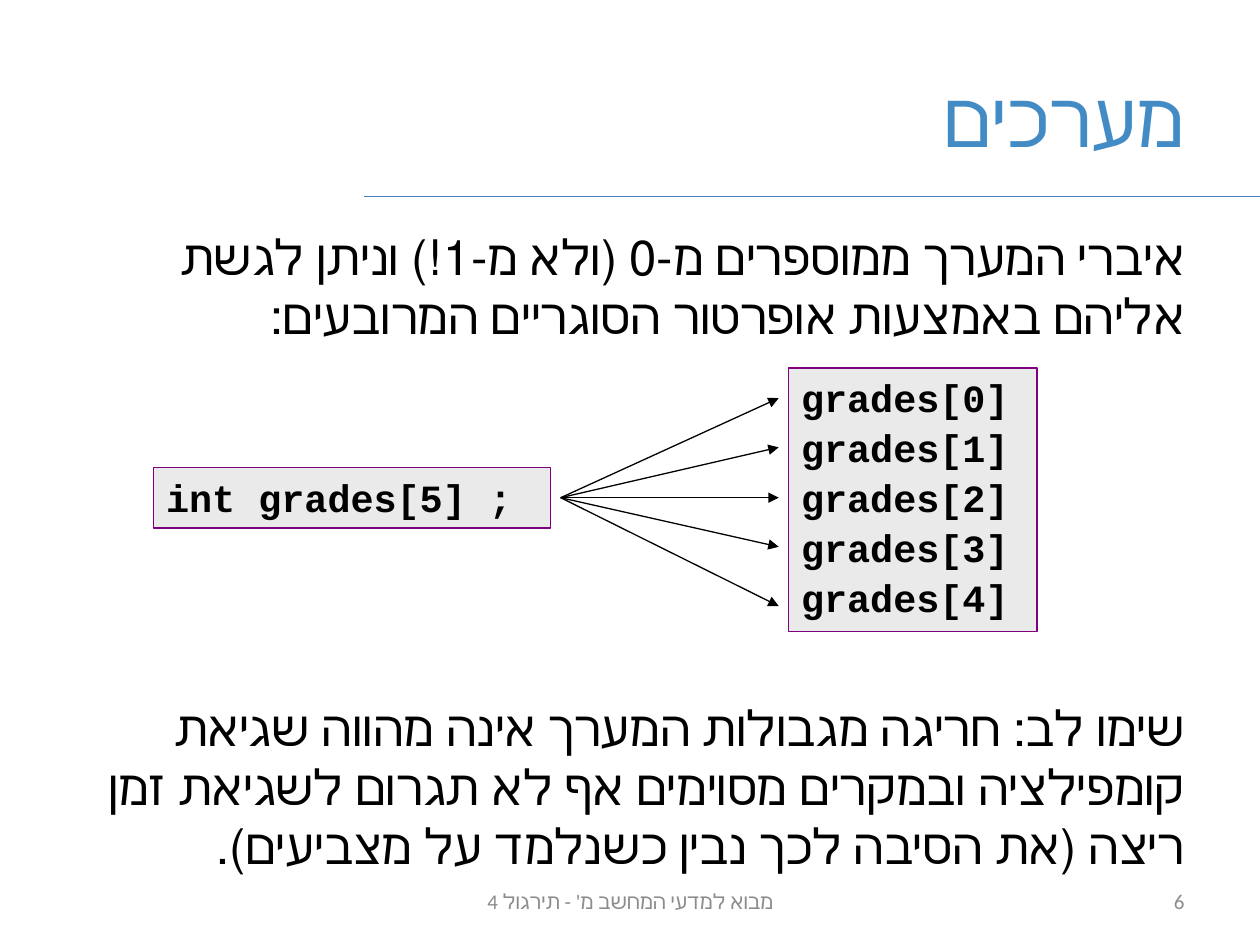
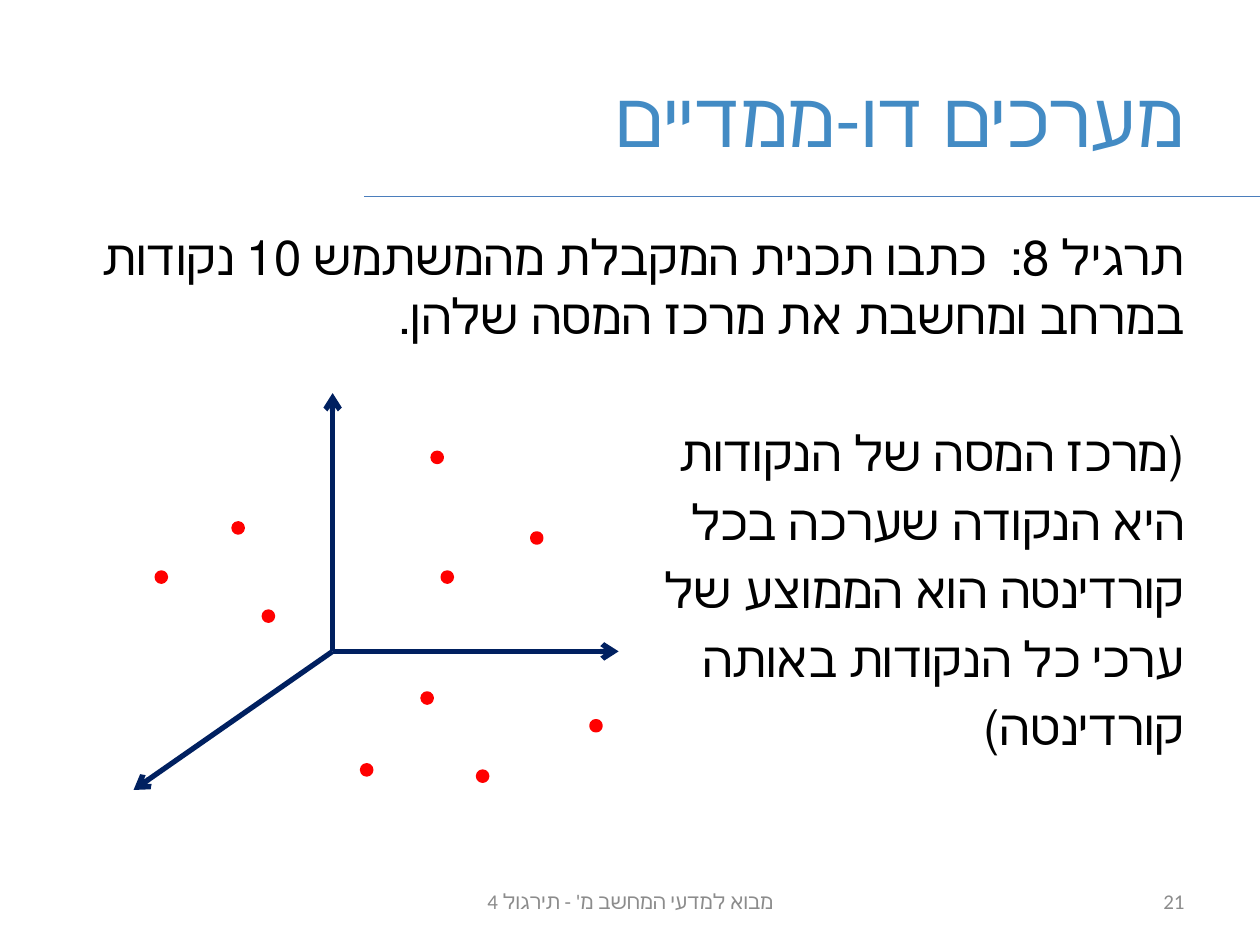
"""Builds two right-to-left slides about arrays."""
import dataclasses
import lxml.etree
import pptx
import pptx.dml.color
import pptx.enum.shapes
import pptx.enum.text
import pptx.oxml.ns
import pptx.util

Inches, Pt = pptx.util.Inches, pptx.util.Pt
Align = pptx.enum.text.PP_ALIGN
Shape = pptx.enum.shapes.MSO_SHAPE


@dataclasses.dataclass(frozen=True)
class Theme:
    head: str = "438BC4"
    rule: str = "4B7EBC"
    ink: str = "000000"
    foot: str = "8C8C8C"
    fill: str = "EAEAEA"
    edge: str = "800080"
    axis: str = "002060"
    dot: str = "FF0000"
    sans: str = "Arial"
    body: str = "Calibri"
    mono: str = "Courier New"
    big: int = 44
    text: int = 28
    code: int = 22
    small: int = 12
    gap: float = 5.6
    step: float = 2.2


THEME = Theme()
FOOT = "מבוא למדעי המחשב מ' - תירגול 4"

ARRAY = {
    "title": "מערכים",
    "page": "6",
    "area": (0.28, 1.75, 9.22, 5.2),
    "body": [
        ("איברי המערך ממוספרים מ-0 (ולא מ-1!) וניתן לגשת אליהם "
         "באמצעות אופרטור הסוגריים המרובעים:", THEME.gap),
        ("שימו לב: חריגה מגבולות המערך אינה מהווה שגיאת קומפילציה "
         "ובמקרים מסוימים אף לא תגרום לשגיאת זמן ריצה "
         "(את הסיבה לכך נבין כשנלמד על מצביעים).", 202),
    ],
}
SPACE = {
    "title": "מערכים דו-ממדיים",
    "page": "21",
    "area": (0.5, 1.75, 9, 4.95),
    "body": [
        ("תרגיל 8:  כתבו תכנית המקבלת מהמשתמש 10 נקודות במרחב "
         "ומחשבת את מרכז המסה שלהן.", THEME.gap),
        ("(מרכז המסה של הנקודות", 44.5),
        ("היא הנקודה שערכה בכל", THEME.gap),
        ("קורדינטה הוא הממוצע של", THEME.gap),
        ("ערכי כל הנקודות באותה", THEME.gap),
        ("קורדינטה)", THEME.gap),
    ],
}

CODE = [
    ((6.26, 2.92, 1.97, 2.09), [f"grades[{i}]" for i in range(5)]),
    ((1.22, 3.71, 3.15, 0.48), ["int grades[5] ;"]),
]
FAN = (4.45, 3.95)
TIPS = [(6.18, y) for y in (3.16, 3.55, 3.95, 4.34, 4.81)]

HUB = (2.64, 5.17)
ENDS = [(2.64, 3.12), (4.91, 5.17), (1.06, 6.27)]
SIZE = 0.08
DOTS = [
    (3.43, 3.59), (1.85, 4.15), (2.09, 4.85), (3.51, 4.54), (2.87, 6.07),
    (4.69, 5.72), (3.79, 6.12), (4.22, 4.23), (1.24, 4.54), (3.35, 5.5),
]


def paint(code):
    return pptx.dml.color.RGBColor.from_string(code)


def place(shape, area):
    shape.left, shape.top, shape.width, shape.height = map(Inches, area)


def style(par, font, size, color, align=Align.RIGHT, rtl=True, bold=False):
    par.alignment = align
    if rtl:
        par._p.get_or_add_pPr().set("rtl", "1")
    for run in par.runs:
        run.font.name = font
        run.font.size = Pt(size)
        run.font.bold = bold
        run.font.color.rgb = paint(color)


def write(frame, lines):
    frame.text = lines[0]
    for line in lines[1:]:
        frame.add_paragraph().text = line
    frame.word_wrap = True
    frame.auto_size = pptx.enum.text.MSO_AUTO_SIZE.NONE
    return frame.paragraphs


def link(slide, start, end, color, width, tip=None):
    kind = pptx.enum.shapes.MSO_CONNECTOR.STRAIGHT
    line = slide.shapes.add_connector(kind, *map(Inches, start + end))
    line.line.color.rgb = paint(color)
    line.line.width = Pt(width)
    qn = pptx.oxml.ns.qn
    props = line._element.spPr
    if tip:
        lxml.etree.SubElement(props.find(qn("a:ln")), qn("a:tailEnd"), type=tip)
    lxml.etree.SubElement(props, qn("a:effectLst"))


def block(slide, kind, area, fill, edge, width):
    shape = slide.shapes.add_shape(kind, *map(Inches, area))
    shape.shadow.inherit = False
    shape.fill.solid()
    shape.fill.fore_color.rgb = paint(fill)
    shape.line.color.rgb = paint(edge)
    shape.line.width = Pt(width)
    return shape


def note(slide, area, text, align):
    box = slide.shapes.add_textbox(*map(Inches, area))
    par = write(box.text_frame, [text])[0]
    box.text_frame.vertical_anchor = pptx.enum.text.MSO_ANCHOR.MIDDLE
    style(par, THEME.body, THEME.small, THEME.foot, align)
    props = par.runs[0]._r.get_or_add_rPr()
    lxml.etree.SubElement(props, pptx.oxml.ns.qn("a:cs"), typeface=THEME.body)


def start(deck, data):
    slide = deck.slides.add_slide(deck.slide_layouts[1])
    link(slide, (10, 1.56), (2.89, 1.56), THEME.rule, 0.75)

    title, body = slide.placeholders
    place(title, (0.5, 0.3, 9, 1.25))
    par = write(title.text_frame, [data["title"]])[0]
    title.text_frame.vertical_anchor = pptx.enum.text.MSO_ANCHOR.MIDDLE
    style(par, THEME.sans, THEME.big, THEME.head)

    place(body, data["area"])
    pars = write(body.text_frame, [text for text, gap in data["body"]])
    for par, (text, gap) in zip(pars, data["body"]):
        style(par, THEME.body, THEME.text, THEME.ink)
        par.space_before = Pt(gap)
        props = par._p.get_or_add_pPr()
        props.set("marL", "0")
        props.set("indent", "0")
        lxml.etree.SubElement(props, pptx.oxml.ns.qn("a:buNone"))

    note(slide, (3.42, 6.95, 3.17, 0.4), FOOT, Align.CENTER)
    note(slide, (7.17, 6.95, 2.33, 0.4), data["page"], Align.RIGHT)
    return slide


def draw_array(deck):
    slide = start(deck, ARRAY)
    for area, lines in CODE:
        box = block(slide, Shape.RECTANGLE, area, THEME.fill, THEME.edge, 0.75)
        for par in write(box.text_frame, lines):
            style(par, THEME.mono, THEME.code, THEME.ink,
                  Align.LEFT, rtl=False, bold=True)
            par.space_before = Pt(THEME.step)
        box.text_frame.vertical_anchor = pptx.enum.text.MSO_ANCHOR.TOP
    for tip in TIPS:
        link(slide, FAN, tip, THEME.ink, 0.75, "triangle")


def draw_space(deck):
    slide = start(deck, SPACE)
    for end in ENDS:
        link(slide, HUB, end, THEME.axis, 3, "arrow")
    for x, y in DOTS:
        block(slide, Shape.OVAL, (x, y, SIZE, SIZE), THEME.dot, THEME.dot, 2)


def main():
    deck = pptx.Presentation()
    deck.slide_width, deck.slide_height = Inches(10), Inches(7.5)
    draw_array(deck)
    draw_space(deck)
    deck.save("out.pptx")


if __name__ == "__main__":
    main()
